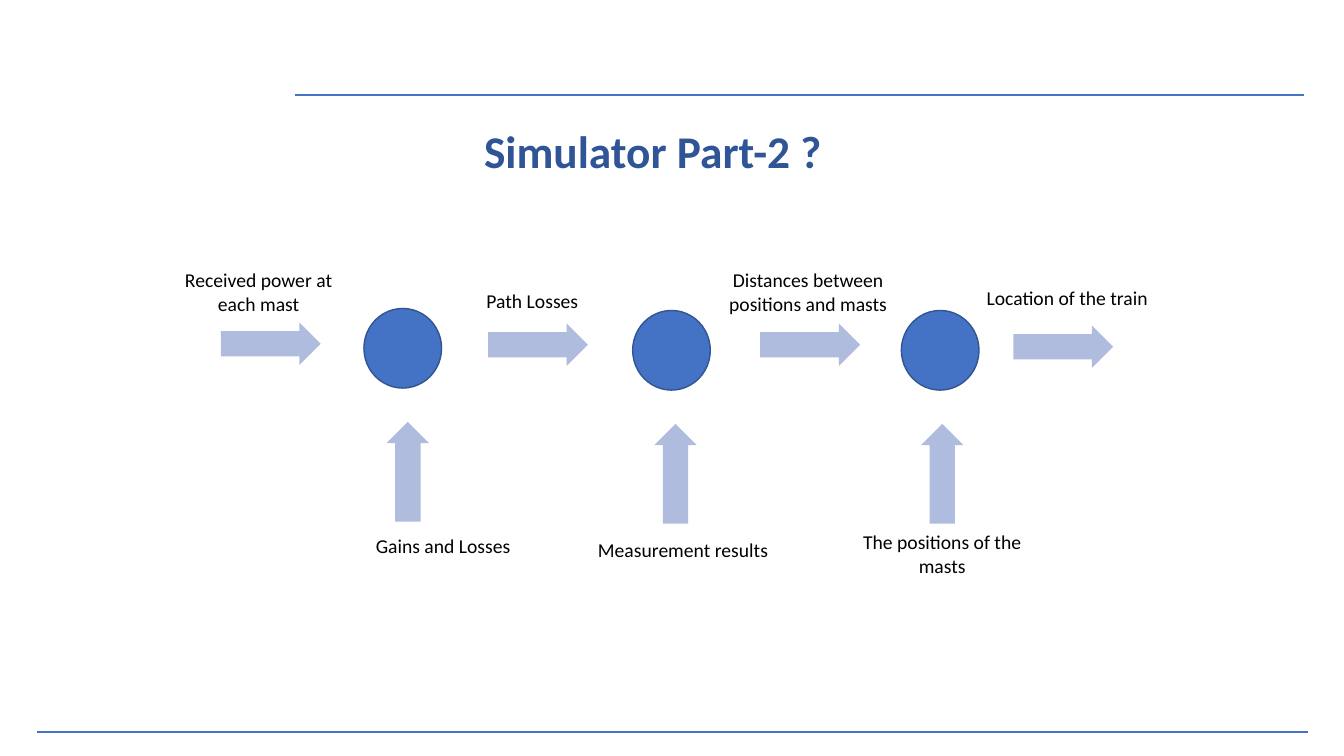
from pptx import Presentation
from pptx.dml.color import RGBColor
from pptx.enum.shapes import MSO_CONNECTOR, MSO_SHAPE
from pptx.enum.text import MSO_ANCHOR, PP_ALIGN
from pptx.oxml.ns import qn
from pptx.util import Inches, Pt
from lxml import etree

OVAL, ARROW = MSO_SHAPE.OVAL, MSO_SHAPE.RIGHT_ARROW
LINE = MSO_CONNECTOR.STRAIGHT
CENTER, MIDDLE, TOP = PP_ALIGN.CENTER, MSO_ANCHOR.MIDDLE, MSO_ANCHOR.TOP

HUES = {"rule": "4472C4", "disc": "4472C4", "edge": "325491",
        "arrow": "B0BCDE", "title": "2F5597", "label": "000000"}
FONTS = {
    "title": {"name": "Calibri", "size": Pt(32.4), "bold": True},
    "label": {"name": "Calibri", "size": Pt(14), "bold": False},
}
WIDE, HIGH = 13.33, 7.5
TITLE = ("Simulator Part-2 ?", 2.82, 1.31, 7.31, 0.44)
RULES = [(2.93, 12.93, 0.94), (0.37, 12.97, 7.26)]
DISC_W, DISC_H = 0.77, 0.79
LONG, THICK = 0.99, 0.42
FIRST, PITCH, DROP = 3.61, 2.665, 1.41
LABEL_W, ONE, TWO = 2.05, 0.34, 0.57

FLOWS = [(2.19, 3.2), (4.84, 3.21), (7.54, 3.21), (10.05, 3.23)]
STAGES = [(3.06, 0.06), (3.08, 0.07), (3.08, 0.09)]
LABELS = [
    ("Received power at each mast", 1.54, 2.61, LABEL_W, TWO),
    ("Path Losses", 4.64, 2.82, 1.28, ONE),
    ("Distances between positions and masts", 6.99, 2.61, LABEL_W, TWO),
    ("Location of the train", 9.56, 2.79, LABEL_W, ONE),
    ("Gains and Losses", 3.37, 5.25, LABEL_W, ONE),
    ("Measurement results", 5.75, 5.29, LABEL_W, ONE),
    ("The positions of the masts", 8.32, 5.21, LABEL_W, TWO),
]


def hue(key):
    return RGBColor.from_string(HUES[key])


def add_rule(slide, left, right, y):
    rule = slide.shapes.add_connector(
        LINE, Inches(left), Inches(y), Inches(right), Inches(y))
    rule.line.color.rgb = hue("rule")
    rule.line.width = Pt(1.5)
    etree.SubElement(rule._element.spPr, qn("a:effectLst"))


def add_form(slide, kind, x, y, w, h, fill):
    form = slide.shapes.add_shape(
        kind, Inches(x), Inches(y), Inches(w), Inches(h))
    form.shadow.inherit = False
    form.fill.solid()
    form.fill.fore_color.rgb = hue(fill)
    return form


def add_disc(slide, x, y):
    disc = add_form(slide, OVAL, x, y, DISC_W, DISC_H, "disc")
    disc.line.color.rgb = hue("edge")
    disc.line.width = Pt(1)


def add_arrow(slide, x, y, turn=0):
    arrow = add_form(slide, ARROW, x, y, LONG, THICK, "arrow")
    arrow.line.fill.background()
    arrow.adjustments[0] = 0.6
    arrow.adjustments[1] = 0.5
    arrow.rotation = turn


def add_text(slide, text, x, y, w, h, style="label", anchor=TOP, space=1.0):
    box = slide.shapes.add_textbox(
        Inches(x), Inches(y), Inches(w), Inches(h))
    frame = box.text_frame
    frame.word_wrap = True
    frame.vertical_anchor = anchor
    para = frame.paragraphs[0]
    para.alignment = CENTER
    para.line_spacing = space
    run = para.add_run()
    run.text = text
    for name, value in FONTS[style].items():
        setattr(run.font, name, value)
    run.font.color.rgb = hue(style)


def main():
    deck = Presentation()
    deck.slide_width, deck.slide_height = Inches(WIDE), Inches(HIGH)
    slide = deck.slides.add_slide(deck.slide_layouts[6])
    for rule in RULES:
        add_rule(slide, *rule)
    add_text(slide, *TITLE, style="title", anchor=MIDDLE, space=0.9)
    for flow in FLOWS:
        add_arrow(slide, *flow)
    for step, (y, shift) in enumerate(STAGES):
        x = FIRST + step * PITCH
        add_disc(slide, x, y)
        add_arrow(slide, x - shift, y + DROP, 270)
    for label in LABELS:
        add_text(slide, *label)
    deck.save("out.pptx")


if __name__ == "__main__":
    main()
